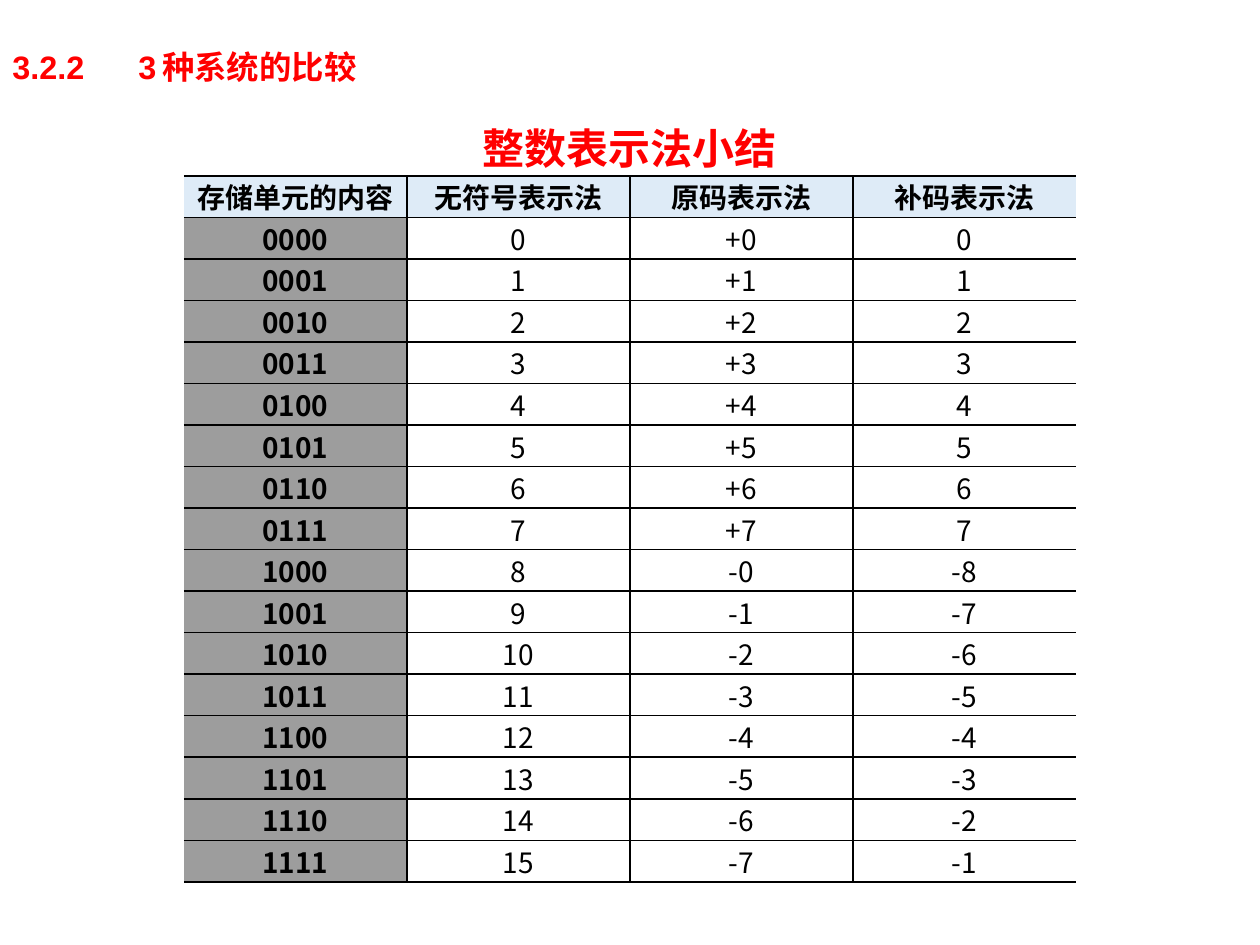
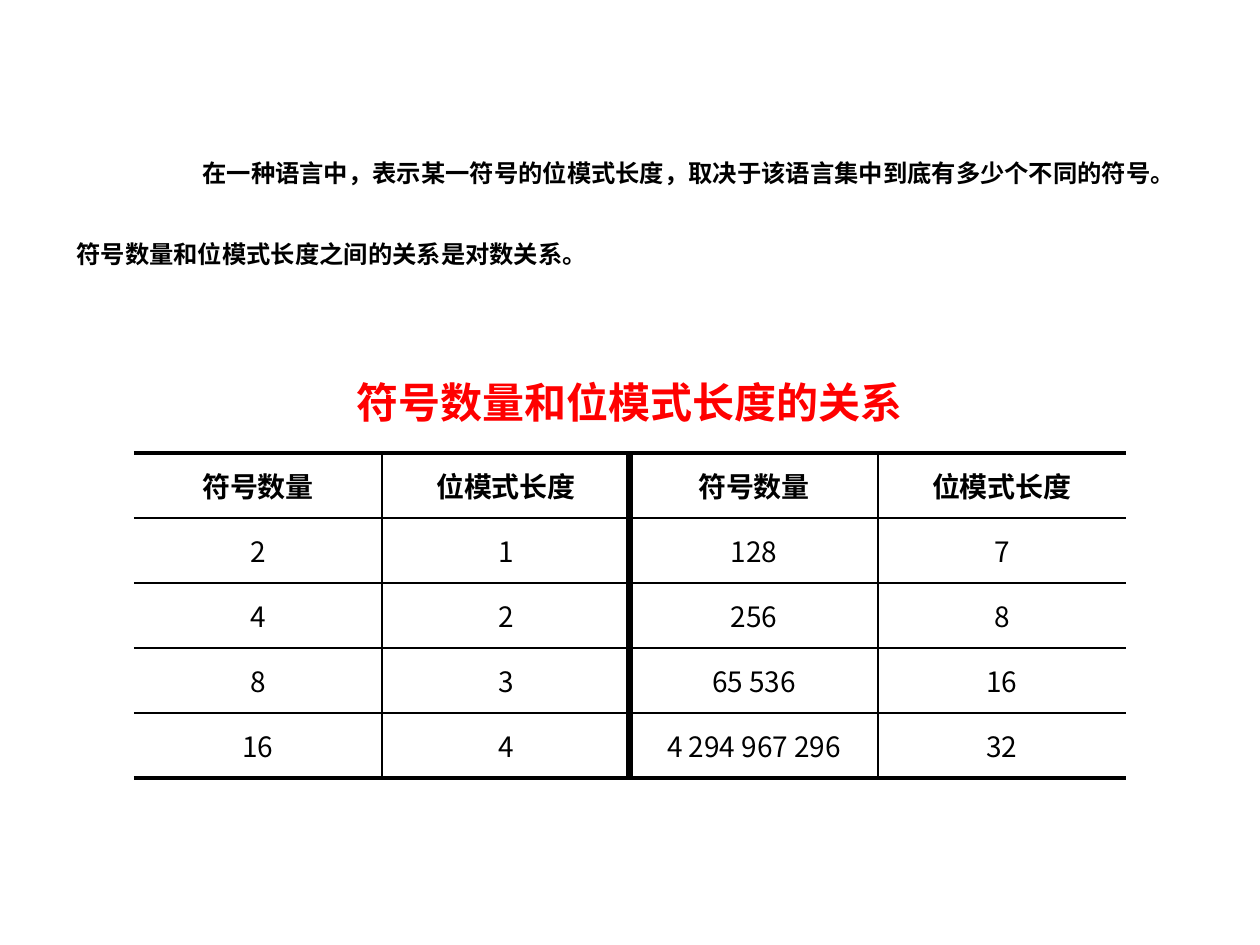
"""Build two slides on integer representations and bit pattern lengths."""
from lxml.etree import SubElement
from pptx import Presentation
from pptx.dml.color import RGBColor as RGB
from pptx.enum.text import MSO_ANCHOR as ANCHOR, PP_ALIGN as ALIGN
from pptx.oxml.ns import qn
from pptx.util import Pt

COLORS = {"red": "FF0000", "ink": "000000", "header": "DEEBF7", "code": "9D9D9D"}
CJK, LATIN = "Noto Sans CJK SC", "Arial"

SECTION = [("3.2.2\t", 0), ("3", 3.4), ("种系统的比较", 0)]
INTEGER_TITLE = "整数表示法小结"
INTEGER_HEADS = ["存储单元的内容", "无符号表示法", "原码表示法", "补码表示法"]
SYMBOL_TEXT = [("\t在一种语言中，表示某一符号的位模式长度，取决于该语言集中到底有多少个不同的符号。"
                "符号数量和位模式长度之间的关系是对数关系。", 0)]
SYMBOL_TITLE = "符号数量和位模式长度的关系"
SYMBOL_ROWS = [
    ["符号数量", "位模式长度"] * 2,
    ["2", "1", "128", "7"],
    ["4", "2", "256", "8"],
    ["8", "3", "65 536", "16"],
    ["16", "4", "4 294 967 296", "32"],
]
THIN, MEDIUM, THICK = 1, 2.25, 4.5


def px(n):
    return round(n * 914400 / 126)


def integer_row(n):
    sign, rest = ("-", n - 8) if n > 7 else ("+", n)
    return [f"{n:04b}", str(n), f"{sign}{rest}", str(n - 16 if n > 7 else n)]


def add_run(p, text, size, color="ink", bold=False, latin=CJK, spacing=0):
    r = p.add_run()
    r.text = text
    r.font.size, r.font.bold, r.font.name = Pt(size), bold, latin
    r.font.color.rgb = RGB.from_string(COLORS[color])
    SubElement(r.font._element, qn("a:ea"), typeface=CJK)
    if spacing:
        r.font._element.set("spc", str(round(spacing * 100)))


def add_text(s, box, runs, size, **style):
    tf = s.shapes.add_textbox(*map(px, box)).text_frame
    tf.word_wrap = True
    for text, spacing in runs:
        add_run(tf.paragraphs[0], text, size, bold=True, spacing=spacing, **style)
    return tf


def set_borders(cell, widths):
    tc_pr = cell._tc.get_or_add_tcPr()
    for side, width in zip("LRTB", widths):
        ln = SubElement(tc_pr, qn(f"a:ln{side}"), w=str(Pt(width)))
        if width:
            fill = SubElement(ln, qn("a:solidFill"))
            SubElement(fill, qn("a:srgbClr"), val=COLORS["ink"])
        else:
            SubElement(ln, qn("a:noFill"))


def fill_cell(cell, text, inset, widths, fill=None, **style):
    set_borders(cell, widths)
    if fill:
        cell.fill.solid()
        cell.fill.fore_color.rgb = RGB.from_string(COLORS[fill])
    else:
        cell.fill.background()
    cell.vertical_anchor = ANCHOR.MIDDLE
    cell.margin_left = cell.margin_right = px(inset)
    cell.margin_top = cell.margin_bottom = 0
    p = cell.text_frame.paragraphs[0]
    p.alignment = ALIGN.CENTER
    add_run(p, text, **style)


def add_titled_table(s, title, rows, box, title_h, inset, h_edge, v_lines,
                     head_fill=None, code_fill=None):
    x, y, w, h = map(px, box)
    n_rows, n_cols = len(rows), len(rows[0])
    table = s.shapes.add_table(n_rows + 1, n_cols, x, y, w, h).table
    table.first_row = table.horz_banding = False
    table.rows[0].height = px(title_h)
    for i in range(n_rows):
        table.rows[i + 1].height = (h - px(title_h)) // n_rows
    h_lines = [h_edge] + [THIN] * (n_rows - 1) + [h_edge]
    for j in range(1, n_cols):
        set_borders(table.cell(0, j), (0, 0, 0, h_edge))
    head = table.cell(0, 0)
    head.merge(table.cell(0, n_cols - 1))
    fill_cell(head, title, inset, (0, 0, 0, h_edge), size=24, color="red", bold=True)
    for i, row in enumerate(rows):
        for j, text in enumerate(row):
            code = code_fill if j == 0 else None
            fill = code if i else head_fill
            fill_cell(table.cell(i + 1, j), text, inset,
                      (*v_lines[j:j + 2], *h_lines[i:i + 2]),
                      fill, size=16, bold=i == 0 or bool(code))


def integer_slide(prs):
    s = prs.slides.add_slide(prs.slide_layouts[6])
    tf = add_text(s, (0, 9, 1260, 77), SECTION, 18.5, color="red", latin=LATIN)
    tf.vertical_anchor, tf.margin_bottom = ANCHOR.BOTTOM, 0
    rows = [INTEGER_HEADS] + [integer_row(n) for n in range(16)]
    add_titled_table(s, INTEGER_TITLE, rows, (184, 116, 892, 766), 60, 9, THIN,
                     (0, THIN, THIN, THIN, 0), "header", "code")


def symbol_slide(prs):
    s = prs.slides.add_slide(prs.slide_layouts[6])
    add_titled_table(s, SYMBOL_TITLE, SYMBOL_ROWS, (134, 348, 992, 430), 105, 10,
                     MEDIUM, (0, THIN, THICK, THIN, 0))
    tf = add_text(s, (64, 101, 1127, 234), SYMBOL_TEXT, 13.9)
    p = tf.paragraphs[0]
    p.line_spacing = Pt(46)
    tabs = SubElement(p._p.get_or_add_pPr(), qn("a:tabLst"))
    SubElement(tabs, qn("a:tab"), pos=str(px(126)), algn="l")


def main():
    prs = Presentation()
    prs.slide_width, prs.slide_height = px(1260), px(945)
    integer_slide(prs)
    symbol_slide(prs)
    prs.save("out.pptx")


if __name__ == "__main__":
    main()
